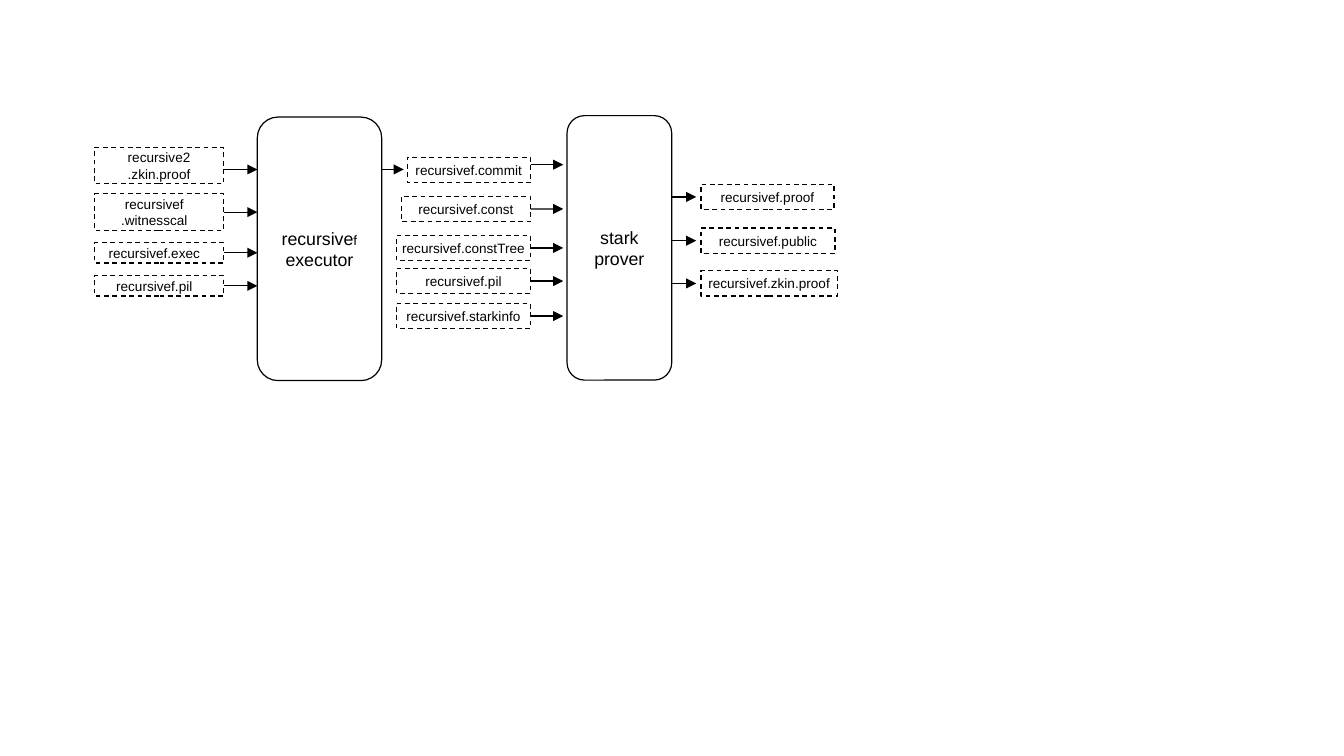
from dataclasses import dataclass

from lxml.etree import SubElement
from pptx import Presentation
from pptx.dml.color import RGBColor
from pptx.enum.dml import MSO_LINE
from pptx.enum.shapes import MSO_CONNECTOR, MSO_SHAPE
from pptx.enum.text import MSO_ANCHOR, PP_ALIGN
from pptx.oxml.ns import qn
from pptx.util import Cm, Pt


@dataclass(frozen=True)
class Theme:
    """Colours, font and sizes used on the slide."""
    ink: RGBColor = RGBColor(0, 0, 0)
    paper: RGBColor = RGBColor(255, 255, 255)
    font: str = "Arial"
    stage_size: float = 10.5
    label_size: float = 8
    line_width: float = 0.71


@dataclass(frozen=True)
class Box:
    """A rectangle in centimetres."""
    left: float
    top: float
    width: float
    height: float

    @property
    def right(self):
        """Return the right edge."""
        return self.left + self.width

    @property
    def middle(self):
        """Return the vertical centre."""
        return self.top + self.height / 2


@dataclass(frozen=True)
class Label:
    """A file label, with its top measured from the top of its stage."""
    text: str
    top: float
    width: float
    height: float = 0.53
    right_margin: float = 0
    arrow_top: float | None = None


THEME = Theme()
EXECUTOR = Box(5.36, 2.44, 2.59, 5.49)
PROVER = Box(11.81, 2.41, 2.18, 5.51)
EXECUTOR_INPUTS = [
    Label("recursive2\n.zkin.proof", 0.63, 2.69, 0.76, arrow_top=1.09),
    Label("recursivef\n.witnesscal", 1.6, 2.69, 0.76, 0.2),
    Label("recursivef.exec", 2.61, 2.69, 0.43, 0.2),
    Label("recursivef.pil", 3.3, 2.69, 0.43, 0.2),
]
PROVER_INPUTS = [
    Label("recursivef.commit", 0.87, 2.57, arrow_top=1.02),
    Label("recursivef.const", 1.68, 2.69),
    Label("recursivef.constTree", 2.49, 2.79),
    Label("recursivef.pil", 3.18, 2.79),
    Label("recursivef.starkinfo", 3.91, 2.79),
]
PROVER_OUTPUTS = [
    Label("recursivef.proof", 1.43, 2.77),
    Label("recursivef.public", 2.34, 2.79),
    Label("recursivef.zkin.proof", 3.23, 2.84),
]


def write_text(shape, text, *, size, right_margin=0, small_ending=""):
    """Write centred lines, optionally setting the first line's ending smaller."""
    frame = shape.text_frame
    frame.word_wrap = False
    frame.vertical_anchor = MSO_ANCHOR.MIDDLE
    frame.margin_left = frame.margin_top = frame.margin_bottom = 0
    frame.margin_right = Cm(right_margin)
    for index, line in enumerate(text.split("\n")):
        paragraph = frame.paragraphs[0] if index == 0 else frame.add_paragraph()
        paragraph.alignment = PP_ALIGN.CENTER
        pieces = [(line, size)]
        if index == 0 and small_ending:
            pieces.append((small_ending, THEME.label_size))
        for piece, piece_size in pieces:
            run = paragraph.add_run()
            run.text = piece
            run.font.name = THEME.font
            run.font.size = Pt(piece_size)
            run.font.color.rgb = THEME.ink


def style_line(line):
    """Give a line the common colour and width."""
    line.color.rgb = THEME.ink
    line.width = Pt(THEME.line_width)


def draw_outline(slide, kind, box):
    """Draw an outlined shape without a shadow."""
    shape = slide.shapes.add_shape(
        kind, Cm(box.left), Cm(box.top), Cm(box.width), Cm(box.height))
    shape.shadow.inherit = False
    style_line(shape.line)
    return shape


def draw_arrow(slide, start, end, height):
    """Draw a horizontal arrow from start to end."""
    arrow = slide.shapes.add_connector(
        MSO_CONNECTOR.STRAIGHT, Cm(start), Cm(height), Cm(end), Cm(height))
    style_line(arrow.line)
    SubElement(arrow.line._get_or_add_ln(), qn("a:tailEnd"), type="triangle")
    SubElement(arrow._element.spPr, qn("a:effectLst"))
    return arrow


def draw_stage(slide, box, text, small_ending=""):
    """Draw a processing stage filling the box."""
    shape = draw_outline(slide, MSO_SHAPE.ROUNDED_RECTANGLE, box)
    shape.fill.solid()
    shape.fill.fore_color.rgb = THEME.paper
    write_text(shape, text, size=THEME.stage_size, small_ending=small_ending)


def draw_label(slide, box, label):
    """Draw a dashed file label filling the box."""
    shape = draw_outline(slide, MSO_SHAPE.RECTANGLE, box)
    shape.fill.background()
    shape.line.dash_style = MSO_LINE.DASH
    write_text(shape, label.text, size=THEME.label_size,
               right_margin=label.right_margin)
    return shape


def draw_inputs(slide, stage, labels, label_gap, arrow_gap):
    """Draw the labels left of a stage with arrows towards it."""
    right = stage.left - label_gap
    for label in labels:
        box = Box(right - label.width, stage.top + label.top,
                  label.width, label.height)
        shape = draw_label(slide, box, label)
        if label.arrow_top is None:
            arrow = draw_arrow(slide, right, stage.left - arrow_gap, box.middle)
            arrow.begin_connect(shape, 3)
        else:
            draw_arrow(slide, right, stage.left - arrow_gap,
                       stage.top + label.arrow_top)


def draw_outputs(slide, stage, labels, label_gap, arrow_length):
    """Draw the labels right of a stage with arrows from it."""
    for label in labels:
        box = Box(stage.right + label_gap, stage.top + label.top,
                  label.width, label.height)
        draw_label(slide, box, label)
        draw_arrow(slide, stage.right, stage.right + arrow_length, box.middle)


def main():
    """Build and save the presentation."""
    presentation = Presentation()
    presentation.slide_width = Cm(27.99)
    presentation.slide_height = Cm(15.75)
    slide = presentation.slides.add_slide(presentation.slide_layouts[6])
    draw_stage(slide, EXECUTOR, "recursive\nexecutor", small_ending="f")
    draw_stage(slide, PROVER, "stark\nprover")
    draw_inputs(slide, EXECUTOR, EXECUTOR_INPUTS, label_gap=0.7, arrow_gap=0)
    draw_inputs(slide, PROVER, PROVER_INPUTS, label_gap=0.76, arrow_gap=0.08)
    draw_arrow(slide, EXECUTOR.right, EXECUTOR.right + 0.46, EXECUTOR.top + 1.09)
    draw_outputs(slide, PROVER, PROVER_OUTPUTS, label_gap=0.61, arrow_length=0.51)
    presentation.save("out.pptx")


if __name__ == "__main__":
    main()
